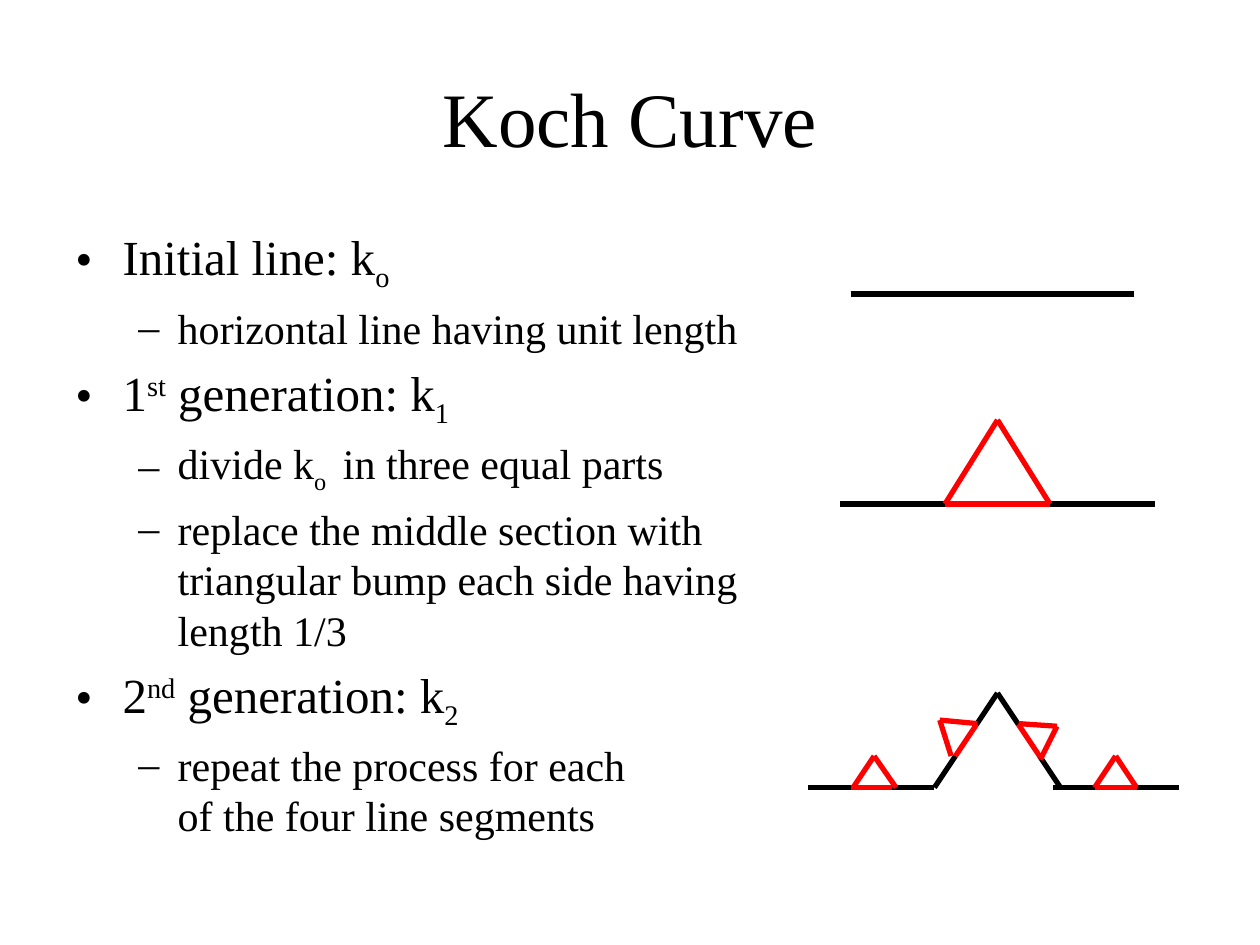
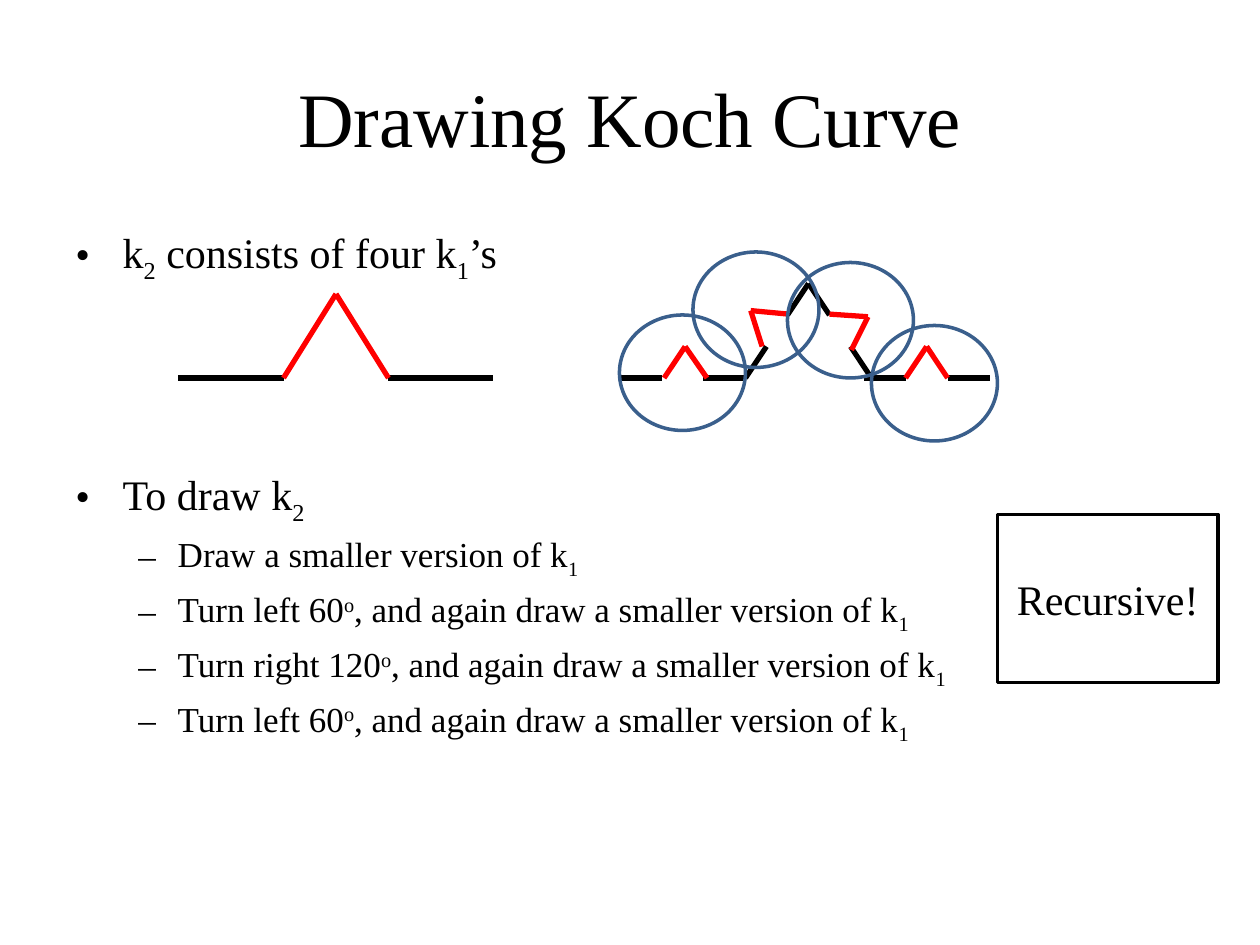
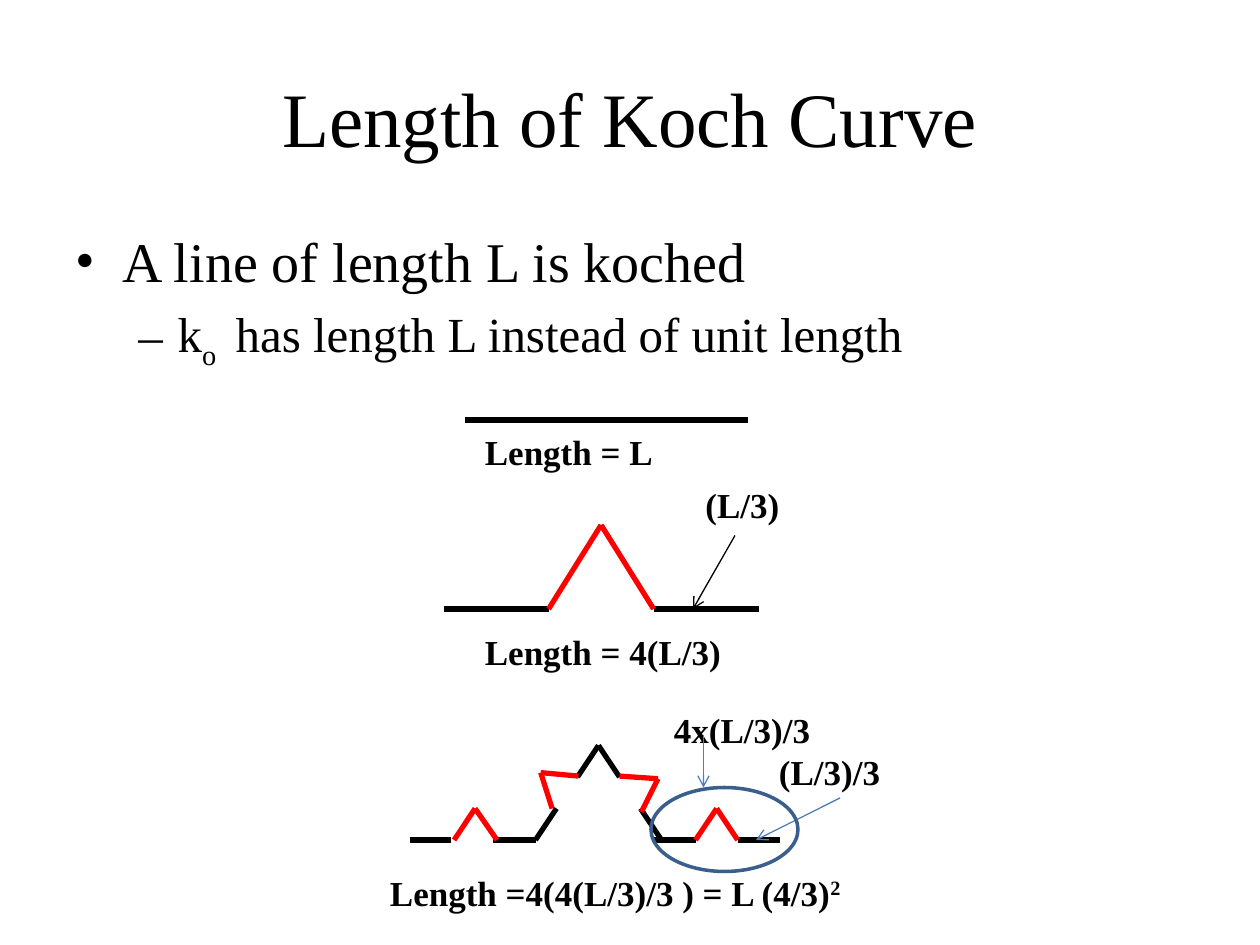
from lxml.etree import SubElement
from pptx import Presentation
from pptx.dml.color import RGBColor
from pptx.enum.shapes import MSO_CONNECTOR as Connector, MSO_SHAPE as Shape
from pptx.enum.text import MSO_ANCHOR as Anchor, PP_ALIGN as Align
from pptx.oxml.ns import qn
from pptx.util import Pt

FONT = "Times New Roman"
COLORS = {"ink": "000000", "bump": "FF0000", "ring": "3A5F8C", "arrow": "4B7EBC"}
BASELINES = {"_": "-25000", "^": "30000"}
BULLETS = [("•", 27, -27), ("–", 58.5, -22.5)]

K1_FLATS = [[(0, 0), (60, 0)], [(120, 0), (180, 0)]]
K1_BUMP = [(60, 0), (90, -48), (120, 0)]
K2_SIDES = [
    [(0, 0), (24, 0)], [(48, 0), (72, 0)],
    [(140, 0), (164, 0)], [(188, 0), (212, 0)],
    [(72, 0), (84, -18)], [(96, -36), (108, -54)],
    [(144, 0), (132, -18)], [(120, -36), (108, -54)],
]
K2_BASES = [
    [(24, 0), (48, 0)], [(84, -18), (96, -36)],
    [(132, -18), (120, -36)], [(164, 0), (188, 0)],
]
K2_BUMPS = [
    [(25.5, 0), (37.5, -18), (50, 0)],
    [(81.5, -18), (75, -38.5), (96.5, -36.5)],
    [(120, -36.5), (142, -35), (132.5, -16)],
    [(163.5, 0), (175.5, -18), (187.5, 0)],
]


def color(name):
    return RGBColor.from_string(COLORS[name])


def write(para, text, size=20, bold=False, align=Align.LEFT):
    para.alignment = align
    for part in text.split("|"):
        baseline = BASELINES.get(part[0])
        for index, line in enumerate((part[1:] if baseline else part).split("\n")):
            if index:
                para.add_line_break()
            span = para.add_run()
            span.text = line
            span.font.name = FONT
            span.font.size = Pt(size)
            span.font.bold = bold
            span.font.color.rgb = color("ink")
            if baseline:
                span.font._element.set("baseline", baseline)


class Painter:
    def __init__(self, deck):
        self.deck = deck
        self.page = None

    def start(self, title):
        self.page = self.deck.slides.add_slide(self.deck.slide_layouts[6])
        self.label(title, 36, 21.6, 648, 90, size=44, align=Align.CENTER)

    def box(self, left, top, width, height, anchor=Anchor.MIDDLE):
        box = self.page.shapes.add_textbox(Pt(left), Pt(top), Pt(width), Pt(height))
        box.text_frame.word_wrap = True
        box.text_frame.vertical_anchor = anchor
        return box.text_frame

    def label(self, text, left, top, width, height, **style):
        write(self.box(left, top, width, height).paragraphs[0], text, **style)

    def bullets(self, items, height=356.4):
        frame = self.box(36, 126, 648, height, Anchor.TOP)
        for index, (level, size, text, *gap) in enumerate(items):
            para = frame.add_paragraph() if index else frame.paragraphs[0]
            para.level = level
            para.space_before = Pt(gap[0] if gap else 0.2 * size if index else 0)
            mark, margin, indent = BULLETS[level]
            props = para._p.get_or_add_pPr()
            props.set("marL", str(Pt(margin)))
            props.set("indent", str(Pt(indent)))
            SubElement(props, qn("a:buFont")).set("typeface", FONT)
            SubElement(props, qn("a:buChar")).set("char", mark)
            write(para, text, size=size)

    def line(self, start, end, name="ink", width=3, arrow=False):
        line = self.page.shapes.add_connector(
            Connector.STRAIGHT, *(Pt(value) for value in (*start, *end)))
        line.line.color.rgb = color(name)
        line.line.width = Pt(width)
        if arrow:
            SubElement(line.line._get_or_add_ln(), qn("a:tailEnd")).set("type", "arrow")
        SubElement(line._element.spPr, qn("a:effectLst"))

    def arrow(self, start, end, name="arrow"):
        self.line(start, end, name, width=0.75, arrow=True)

    def strokes(self, origin, chains, name="ink"):
        left, base = origin
        for chain in chains:
            points = [(left + x, base + y) for x, y in chain]
            for start, end in zip(points, points[1:]):
                self.line(start, end, name)

    def first_generation(self, origin, closed=False):
        self.strokes(origin, K1_FLATS)
        self.strokes(origin, [K1_BUMP + K1_BUMP[:1] if closed else K1_BUMP], "bump")

    def second_generation(self, origin, closed=False):
        self.strokes(origin, K2_SIDES)
        self.strokes(origin, (K2_BASES if closed else []) + K2_BUMPS, "bump")

    def outline(self, kind, left, top, width, height, name="ring"):
        shape = self.page.shapes.add_shape(kind, Pt(left), Pt(top), Pt(width), Pt(height))
        shape.shadow.inherit = False
        shape.fill.background()
        shape.line.color.rgb = color(name)
        shape.line.width = Pt(2)
        return shape


def koch_curve(painter):
    painter.start("Koch Curve")
    painter.bullets([
        (0, 28, "Initial line: k|_o"),
        (1, 24, "horizontal line having unit length"),
        (0, 28, "1|^st| generation: k|_1"),
        (1, 24, "divide k|_o | in three equal parts"),
        (1, 24, "replace the middle section with \ntriangular bump each side having \nlength 1/3"),
        (0, 28, "2|^nd| generation: k|_2"),
        (1, 24, "repeat the process for each\nof the four line segments"),
    ])
    painter.line((486, 168), (648, 168))
    painter.first_generation((480, 288), closed=True)
    painter.second_generation((462, 450), closed=True)


def drawing(painter):
    painter.start("Drawing Koch Curve")
    again = ", and again draw a smaller version of k|_1"
    painter.bullets([
        (0, 24, "k|_2| consists of four k|_1|’s"),
        (0, 24, "To draw k|_2", 105.5),
        (1, 20, "Draw a smaller version of k|_1"),
        (1, 20, "Turn left 60|^o|" + again),
        (1, 20, "Turn right 120|^o|" + again),
        (1, 20, "Turn left 60|^o|" + again),
    ], height=380)
    painter.first_generation((102, 216))
    painter.second_generation((354, 216))
    callout = painter.outline(Shape.RECTANGLE, 570, 294, 126, 96, "ink").text_frame
    callout.vertical_anchor = Anchor.MIDDLE
    write(callout.paragraphs[0], "Recursive!", size=24, align=Align.CENTER)
    for left, top in [(354, 180), (396, 144), (450, 150), (498, 186)]:
        painter.outline(Shape.OVAL, left, top, 72, 66)


def length(painter):
    painter.start("Length of Koch Curve")
    painter.bullets([
        (0, 32, "A line of length L is koched"),
        (1, 28, "k|_o | has length L instead of unit length"),
    ])
    painter.line((265.5, 240), (427.5, 240))
    painter.first_generation((253.5, 348))
    painter.second_generation((234, 480))
    for text, *place in [
        ("Length = L", 270, 246, 180, 24),
        ("Length = 4(L/3)", 270, 360, 180, 24),
        ("(L/3)/3", 438, 426, 84, 30),
        ("(L/3)", 396, 276, 66, 24),
        ("4x(L/3)/3", 378, 402, 108, 30),
    ]:
        painter.label(text, *place, bold=True)
    painter.label("Length =4(4(L/3)/3 ) = L (4/3)|^2 ", 203, 486, 300, 48,
                  bold=True, align=Align.CENTER)
    painter.arrow((420, 306), (396, 348), "ink")
    painter.arrow((480, 456), (432, 480))
    painter.arrow((402, 420), (402, 450))
    painter.outline(Shape.OVAL, 372, 450, 84, 48)


def main():
    deck = Presentation()
    deck.slide_width, deck.slide_height = Pt(720), Pt(540)
    painter = Painter(deck)
    for build in (koch_curve, drawing, length):
        build(painter)
    deck.save("out.pptx")


if __name__ == "__main__":
    main()
